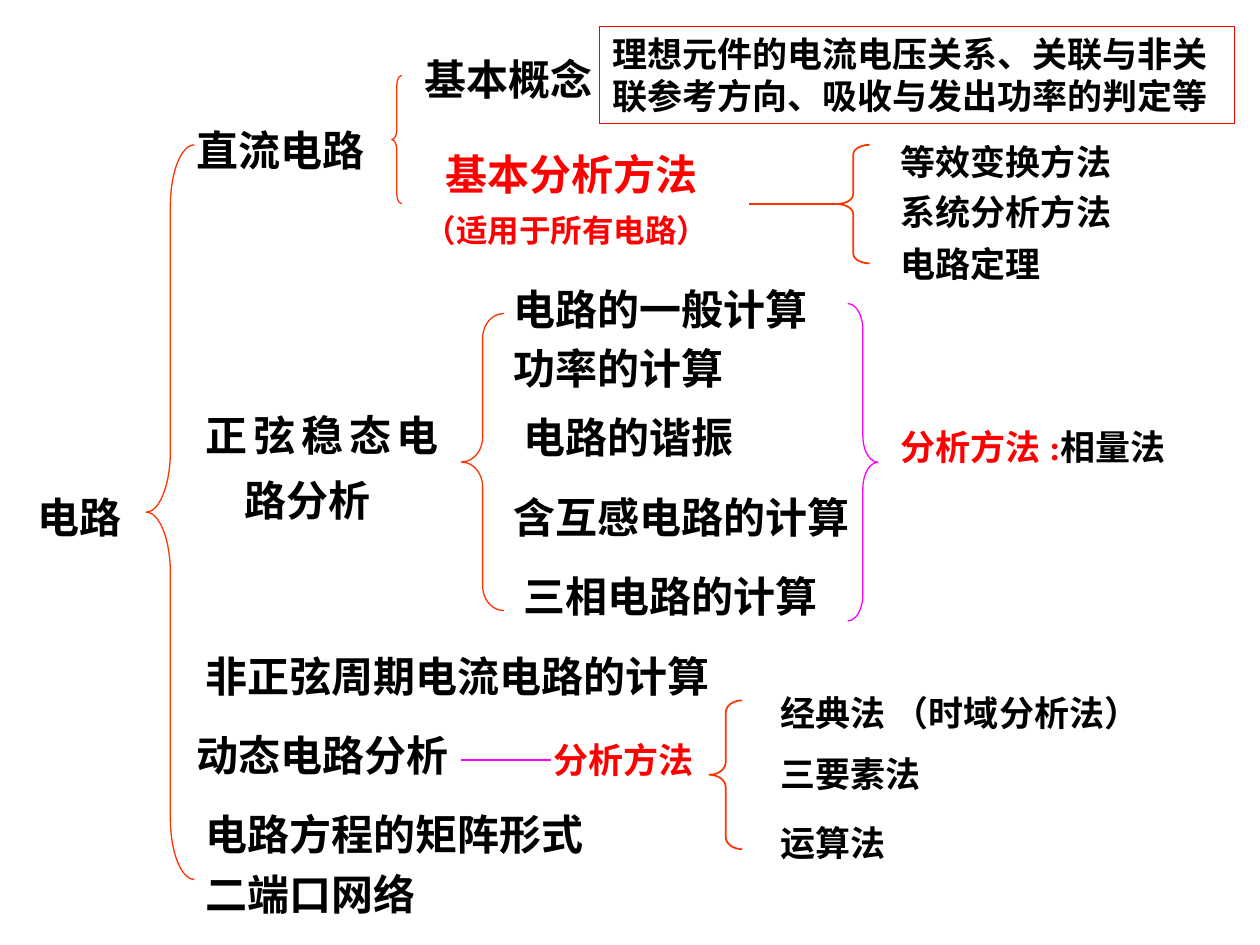
from pptx import Presentation
from pptx.dml.color import RGBColor
from pptx.enum.shapes import MSO_CONNECTOR, MSO_SHAPE
from pptx.enum.text import MSO_ANCHOR, PP_ALIGN
from pptx.oxml.ns import qn
from pptx.util import Cm, Pt
from lxml import etree

COLOURS = {"black": "000000", "red": "FF0000", "orange": "FF3300", "magenta": "FF00FF"}
HANGING = 0.79


def format_run(run, size, colour):
    run.font.name = "Times New Roman"
    run.font.size = Pt(size)
    run.font.bold = True
    run.font.color.rgb = RGBColor.from_string(COLOURS[colour])


def add_label(slide, left, top, width, text, size, colour):
    shape = slide.shapes.add_textbox(Cm(left), Cm(top), Cm(width), Cm(1.47))
    text_frame = shape.text_frame
    text_frame.word_wrap = True
    text_frame.vertical_anchor = MSO_ANCHOR.MIDDLE
    text_frame.text = text
    for paragraph in text_frame.paragraphs:
        paragraph.alignment = PP_ALIGN.JUSTIFY
        paragraph.line_spacing = 1.3
        properties = paragraph._p.get_or_add_pPr()
        properties.set("marL", str(Cm(HANGING)))
        properties.set("indent", str(Cm(-HANGING)))
        format_run(paragraph.runs[0], size, colour)
    return text_frame


presentation = Presentation()
presentation.slide_width = Cm(25.4)
presentation.slide_height = Cm(19.05)
slide = presentation.slides.add_slide(presentation.slide_layouts[6])

# Topics and methods: left, top, width, text, size, colour
labels = [
    (0.51, 9.53, 2.41, "电路", 24, "black"),
    (8.31, 0.71, 4.6, "基本概念", 24, "black"),
    (3.71, 2.13, 3.99, "直流电路", 24, "black"),
    (3.89, 8.53, 5.21, "正弦稳态电路分析", 24, "black"),
    (17.91, 2.39, 5.99, "等效变换方法", 20, "black"),
    (17.91, 3.4, 5.99, "系统分析方法", 20, "black"),
    (17.91, 4.45, 5.99, "电路定理", 20, "black"),
    (10.11, 5.33, 7.39, "电路的一般计算", 24, "black"),
    (10.11, 6.53, 7.39, "功率的计算", 24, "black"),
    (10.31, 7.92, 7.39, "电路的谐振", 24, "black"),
    (10.11, 9.53, 8.61, "含互感电路的计算", 24, "black"),
    (10.31, 11.13, 7.39, "三相电路的计算", 24, "black"),
    (3.89, 12.73, 10.8, "非正弦周期电流电路的计算", 24, "black"),
    (3.71, 14.33, 6.6, "动态电路分析", 24, "black"),
    (3.89, 15.93, 8.81, "电路方程的矩阵形式", 24, "black"),
    (3.89, 17.12, 7.39, "二端口网络", 24, "black"),
    (10.9, 14.45, 3.99, "分析方法", 20, "red"),
    (15.49, 13.51, 8.2, "经典法 （时域分析法）", 20, "black"),
    (15.49, 14.73, 4.22, "三要素法", 20, "black"),
    (15.49, 16.13, 4.22, "运算法", 20, "black"),
]
for label in labels:
    add_label(slide, *label)

# Basic analysis methods with a smaller remark
text_frame = add_label(slide, 8.31, 3.12, 7.8, "基本分析方法\n（适用于所有电路）", 24, "red")
heading, remark = text_frame.paragraphs
heading._p.get_or_add_pPr().set("indent", str(Cm(-0.37)))
remark.runs[0].font.size = Pt(18)

# Phasor method in two colours
text_frame = add_label(slide, 17.91, 8.13, 6.2, "分析方法 :", 20, "red")
run = text_frame.paragraphs[0].add_run()
run.text = "相量法"
format_run(run, 20, "black")

# Braces: kind, left, top, width, height, colour, line width
braces = [
    (MSO_SHAPE.LEFT_BRACE, 2.95, 2.92, 0.97, 14.81, "orange", 0.75),
    (MSO_SHAPE.LEFT_BRACE, 7.9, 1.52, 0.2, 2.59, "orange", 0.75),
    (MSO_SHAPE.LEFT_BRACE, 9.3, 6.32, 0.86, 5.99, "orange", 0.75),
    (MSO_SHAPE.LEFT_BRACE, 16.87, 2.92, 0.66, 2.39, "orange", 1),
    (MSO_SHAPE.LEFT_BRACE, 14.3, 14.12, 0.66, 3, "orange", 1),
    (MSO_SHAPE.RIGHT_BRACE, 17.09, 6.12, 0.61, 6.4, "magenta", 0.75),
]
for kind, left, top, width, height, colour, weight in braces:
    shape = slide.shapes.add_shape(kind, Cm(left), Cm(top), Cm(width), Cm(height))
    shape.shadow.inherit = False
    shape.fill.background()
    shape.line.color.rgb = RGBColor.from_string(COLOURS[colour])
    shape.line.width = Pt(weight)
    # Each curve is one twelfth of the brace height
    shape.adjustments[0] = height / 12 / width

# Horizontal lines: start, end, height on the slide, colour, line width
lines = [
    (15.09, 16.88, 4.11, "orange", 1),
    (9.3, 11.1, 15.32, "magenta", 0.75),
]
for start, end, level, colour, weight in lines:
    connector = slide.shapes.add_connector(
        MSO_CONNECTOR.STRAIGHT, Cm(start), Cm(level), Cm(end), Cm(level))
    connector.line.color.rgb = RGBColor.from_string(COLOURS[colour])
    connector.line.width = Pt(weight)
    etree.SubElement(connector._element.spPr, qn("a:effectLst"))

# Framed note on the basic concepts
shape = slide.shapes.add_shape(MSO_SHAPE.RECTANGLE, Cm(12.09), Cm(0.53), Cm(12.8), Cm(1.96))
shape.shadow.inherit = False
shape.fill.background()
shape.line.color.rgb = RGBColor.from_string(COLOURS["red"])
shape.line.width = Pt(0.75)
text_frame = shape.text_frame
text_frame.word_wrap = True
text_frame.vertical_anchor = MSO_ANCHOR.TOP
text_frame.text = "理想元件的电流电压关系、关联与非关联参考方向、吸收与发出功率的判定等"
paragraph = text_frame.paragraphs[0]
paragraph.alignment = PP_ALIGN.LEFT
format_run(paragraph.runs[0], 20, "black")

presentation.save("out.pptx")
